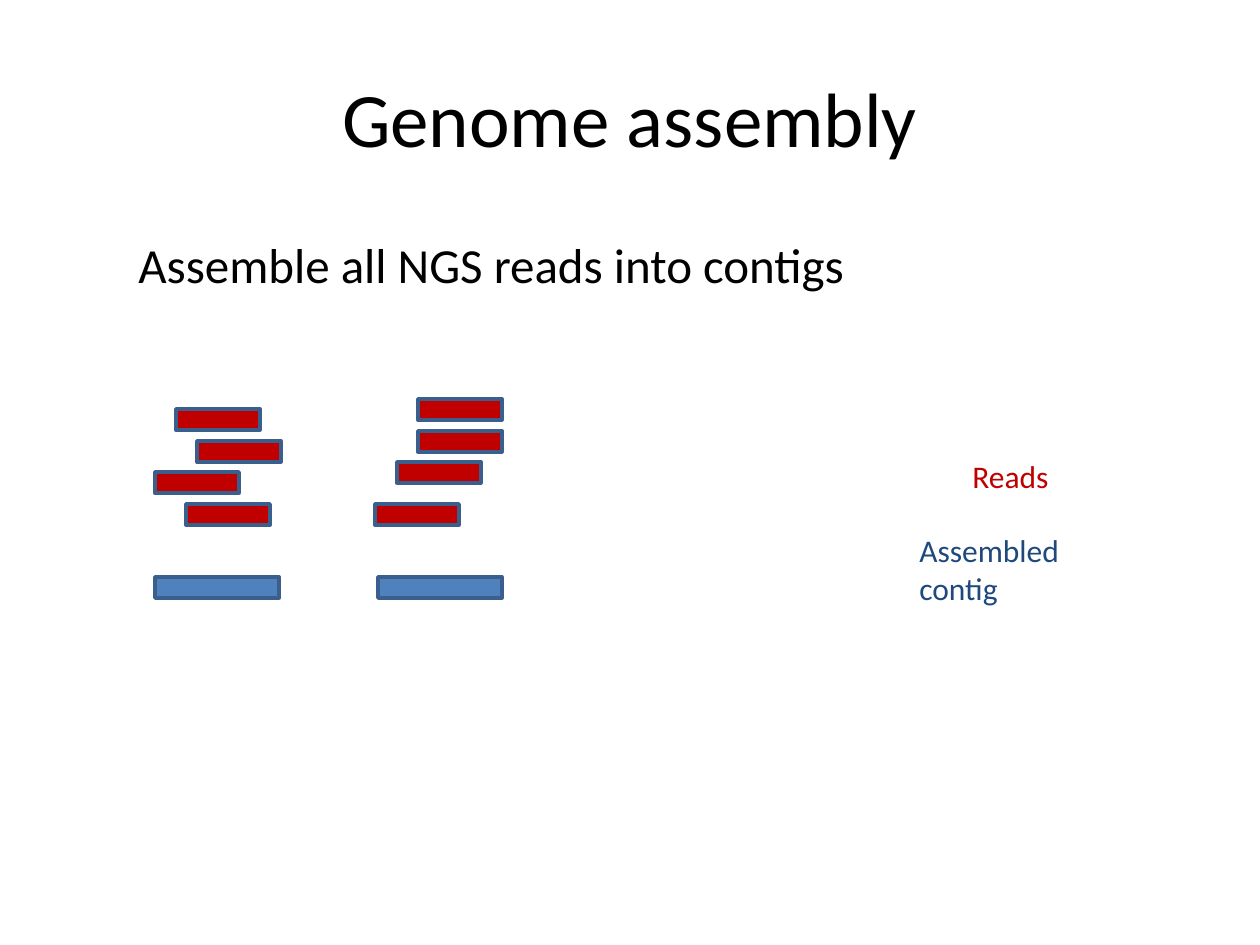
from pptx import Presentation
from pptx.dml.color import RGBColor
from pptx.enum.shapes import MSO_SHAPE
from pptx.enum.text import MSO_ANCHOR, PP_ALIGN
from pptx.util import Emu, Pt

EMU_PER_PX = 914400 / 126
BLACK = RGBColor(0x00, 0x00, 0x00)
RED = RGBColor(0xC0, 0x00, 0x00)
BLUE = RGBColor(0x4F, 0x81, 0xBD)
NAVY = RGBColor(0x1F, 0x49, 0x7D)
OUTLINE = RGBColor(0x3A, 0x5F, 0x8C)

READ_WIDTH, CONTIG_WIDTH, BAR_HEIGHT = 84, 124, 21
CONTIG_TOP = 577
CONTIG_LEFTS = (155, 378)
READS = (
    (176, 409), (197, 441), (155, 472), (186, 504),
    (397, 462), (418, 431), (418, 399), (375, 504),
)


def px(*lengths):
    return [Emu(round(length * EMU_PER_PX)) for length in lengths]


def add_text(page, text, area, size, color, align=PP_ALIGN.LEFT, anchor=MSO_ANCHOR.TOP):
    frame = page.shapes.add_textbox(*px(*area)).text_frame
    frame.word_wrap = True
    frame.vertical_anchor = anchor
    para = frame.paragraphs[0]
    para.alignment = align
    span = para.add_run()
    span.text = text
    span.font.color.rgb = color
    for name, value in {"name": "Calibri", "size": Pt(size)}.items():
        setattr(span.font, name, value)


def add_bar(page, left, top, width, color):
    bar = page.shapes.add_shape(MSO_SHAPE.RECTANGLE, *px(left, top, width, BAR_HEIGHT))
    bar.shadow.inherit = False
    bar.fill.solid()
    bar.fill.fore_color.rgb = color
    bar.line.color.rgb = OUTLINE
    bar.line.width = Pt(2)


def main():
    deck = Presentation()
    deck.slide_width, deck.slide_height = px(1260, 945)
    page = deck.slides.add_slide(deck.slide_layouts[6])

    add_text(page, "Genome assembly", (63, 38, 1134, 158), 44, BLACK,
             PP_ALIGN.CENTER, MSO_ANCHOR.MIDDLE)
    add_text(page, "Assemble all NGS reads into contigs", (126, 228, 1071, 553), 28, BLACK)

    for left, top in READS:
        add_bar(page, left, top, READ_WIDTH, RED)
    for left in CONTIG_LEFTS:
        add_bar(page, left, CONTIG_TOP, CONTIG_WIDTH, BLUE)

    add_text(page, "Reads", (960, 451, 160, 50), 18, RED)
    add_text(page, "Assembled contig", (907, 525, 237, 89), 18, NAVY)

    deck.save("out.pptx")


if __name__ == "__main__":
    main()
